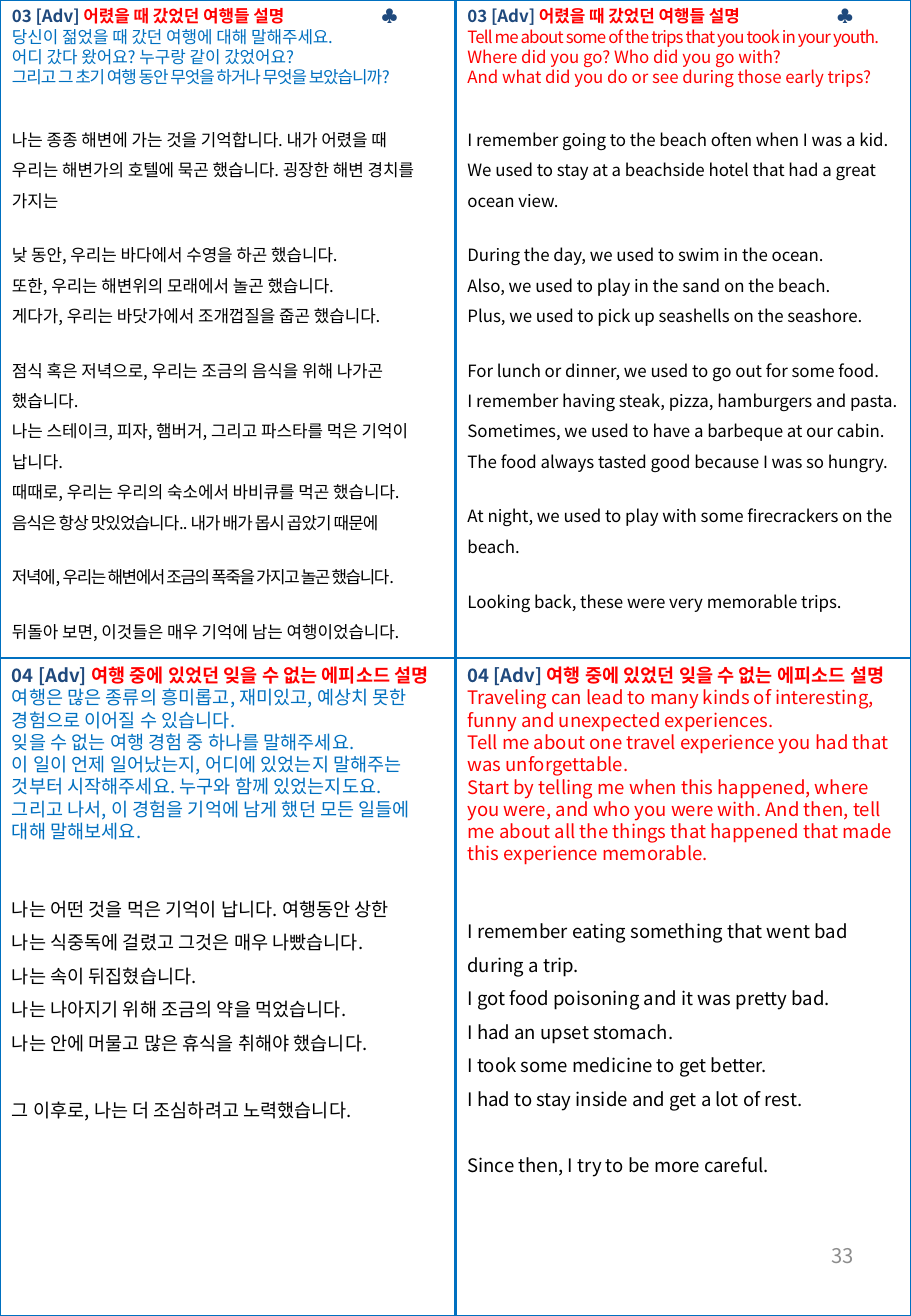
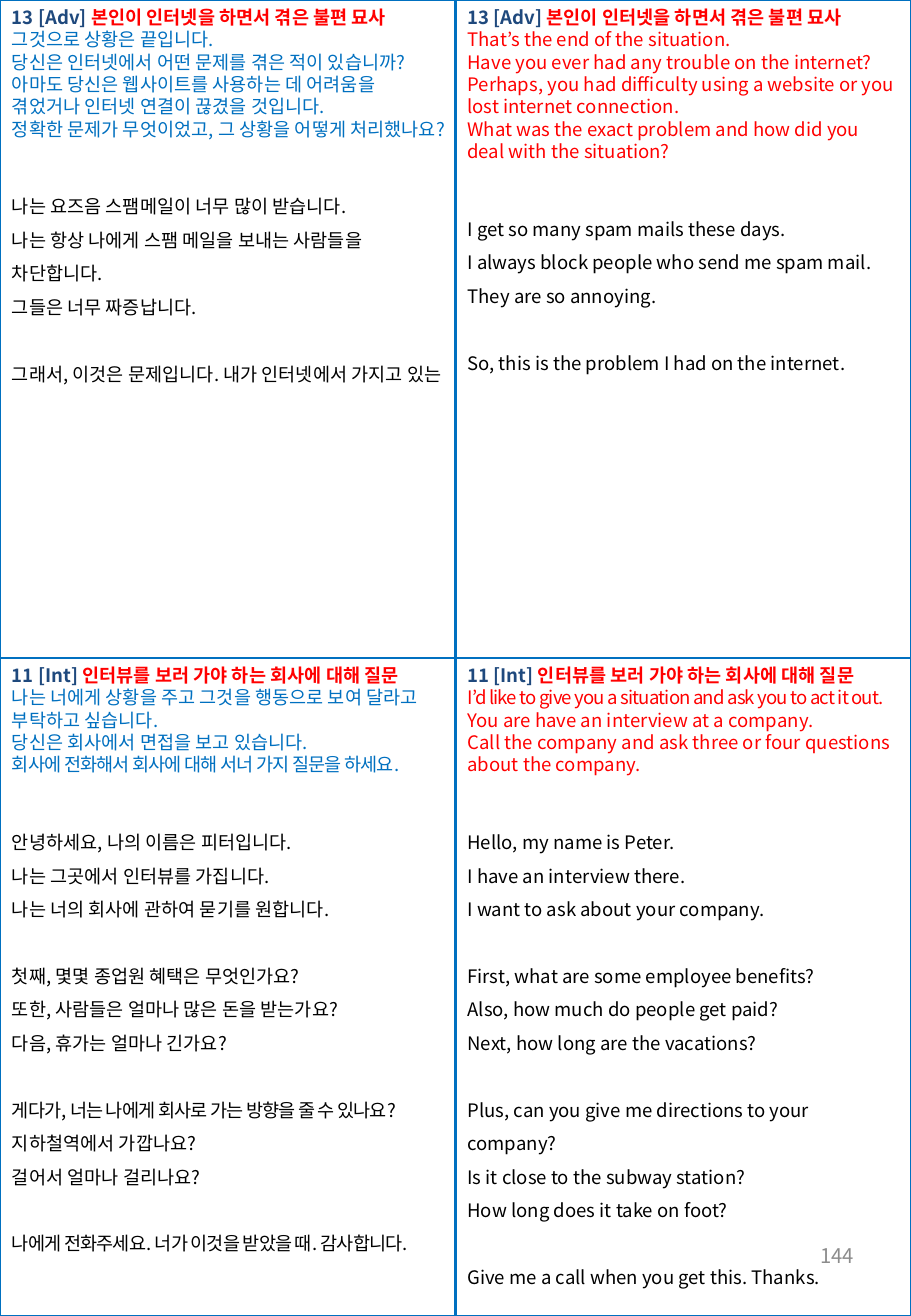
from lxml import etree
from pptx import Presentation
from pptx.dml.color import RGBColor
from pptx.enum.shapes import MSO_CONNECTOR, MSO_SHAPE
from pptx.enum.text import MSO_ANCHOR, MSO_AUTO_SIZE, PP_ALIGN
from pptx.oxml.ns import qn
from pptx.util import Inches, Pt

STRAIGHT, RECT = MSO_CONNECTOR.STRAIGHT, MSO_SHAPE.RECTANGLE
TOP, MIDDLE = MSO_ANCHOR.TOP, MSO_ANCHOR.MIDDLE
FIT, LEFT, RIGHT = MSO_AUTO_SIZE.SHAPE_TO_FIT_TEXT, PP_ALIGN.LEFT, PP_ALIGN.RIGHT

BLUE = RGBColor(0x00, 0x70, 0xC0)
NAVY = RGBColor(0x1F, 0x49, 0x7D)
RED = RGBColor(0xFF, 0x00, 0x00)
BLACK = RGBColor(0x00, 0x00, 0x00)
GRAY = RGBColor(0x8C, 0x8C, 0x8C)

FONT = "Noto Sans CJK KR"
WIDTH, HEIGHT = Inches(7.5), Inches(10.83)
COL_W, ROW_H = WIDTH // 2, HEIGHT // 2
PROMPT_COLORS = (BLUE, RED)
LINE_RATIO, BODY_RATIO = 1.2, 1.8
MARK_TAB = Inches(3.04)

TRIPS = {
    "tag": "03 [Adv] ", "title": "어렸을 때 갔었던 여행들 설명", "mark": "♣",
    "size": 10, "gap": 8,
    "columns": [
        (5.35,
         ["당신이 젊었을 때 갔던 여행에 대해 말해주세요.",
          "어디 갔다 왔어요? 누구랑 같이 갔었어요?",
          ("그리고 그 초기 여행 동안 무엇을 하거나 무엇을 보았습니까?", -0.6)],
         [["나는 종종 해변에 가는 것을 기억합니다. 내가 어렸을 때",
           "우리는 해변가의 호텔에 묵곤 했습니다. 굉장한 해변 경치를 가지는"],
          ["낮 동안, 우리는 바다에서 수영을 하곤 했습니다.",
           "또한, 우리는 해변위의 모래에서 놀곤 했습니다.",
           "게다가, 우리는 바닷가에서 조개껍질을 줍곤 했습니다."],
          ["점식 혹은 저녁으로, 우리는 조금의 음식을 위해 나가곤 했습니다.",
           "나는 스테이크, 피자, 햄버거, 그리고 파스타를 먹은 기억이 납니다.",
           "때때로, 우리는 우리의 숙소에서 바비큐를 먹곤 했습니다.",
           ("음식은 항상 맛있었습니다.. 내가 배가 몹시 곱았기 때문에", -0.5)],
          [("저녁에, 우리는 해변에서 조금의 폭죽을 가지고 놀곤 했습니다.", -0.8)],
          ["뒤돌아 보면, 이것들은 매우 기억에 남는 여행이었습니다."]]),
        (5.15,
         [("Tell me about some of the trips that you took in your youth.", -0.5),
          "Where did you go? Who did you go with?",
          "And what did you do or see during those early trips?"],
         [["I remember going to the beach often when I was a kid.",
           "We used to stay at a beachside hotel that had a great ocean view."],
          ["During the day, we used to swim in the ocean.",
           "Also, we used to play in the sand on the beach.",
           "Plus, we used to pick up seashells on the seashore."],
          ["For lunch or dinner, we used to go out for some food.",
           "I remember having steak, pizza, hamburgers and pasta.",
           "Sometimes, we used to have a barbeque at our cabin.",
           "The food always tasted good because I was so hungry."],
          ["At night, we used to play with some firecrackers on the beach."],
          ["Looking back, these were very memorable trips."]]),
    ],
}

EPISODE = {
    "tag": "04 [Adv] ", "title": "여행 중에 있었던 잊을 수 없는 에피소드 설명", "mark": "",
    "size": 11, "gap": 11,
    "columns": [
        (4.03,
         ["여행은 많은 종류의 흥미롭고, 재미있고, 예상치 못한 경험으로 이어질 수 있습니다.",
          "잊을 수 없는 여행 경험 중 하나를 말해주세요.",
          "이 일이 언제 일어났는지, 어디에 있었는지 말해주는 것부터 시작해주세요. "
          "누구와 함께 있었는지도요.",
          "그리고 나서, 이 경험을 기억에 남게 했던 모든 일들에 대해 말해보세요."],
         [["나는 어떤 것을 먹은 기억이 납니다. 여행동안 상한",
           "나는 식중독에 걸렸고 그것은 매우 나빴습니다.",
           "나는 속이 뒤집혔습니다.",
           "나는 나아지기 위해 조금의 약을 먹었습니다.",
           "나는 안에 머물고 많은 휴식을 취해야 했습니다."],
          ["그 이후로, 나는 더 조심하려고 노력했습니다."]]),
        (4.68,
         ["Traveling can lead to many kinds of interesting, funny and unexpected experiences.",
          "Tell me about one travel experience you had that was unforgettable.",
          "Start by telling me when this happened, where you were, and who you were with. "
          "And then, tell me about all the things that happened that made this experience "
          "memorable."],
         [["I remember eating something that went bad during a trip.",
           "I got food poisoning and it was pretty bad.",
           "I had an upset stomach.",
           "I took some medicine to get better.",
           "I had to stay inside and get a lot of rest."],
          ["Since then, I try to be more careful."]]),
    ],
}

INTERNET = {
    "tag": "13 [Adv] ", "title": "본인이 인터넷을 하면서 겪은 불편 묘사", "mark": "",
    "size": 11, "gap": 11,
    "columns": [
        (3.68,
         ["그것으로 상황은 끝입니다.",
          "당신은 인터넷에서 어떤 문제를 겪은 적이 있습니까?",
          "아마도 당신은 웹사이트를 사용하는 데 어려움을 겪었거나 인터넷 연결이 끊겼을 것입니다.",
          "정확한 문제가 무엇이었고, 그 상황을 어떻게 처리했나요?"],
         [["나는 요즈음 스팸메일이 너무 많이 받습니다.",
           "나는 항상 나에게 스팸 메일을 보내는 사람들을 차단합니다.",
           "그들은 너무 짜증납니다."],
          ["그래서, 이것은 문제입니다. 내가 인터넷에서 가지고 있는"]]),
        (3.12,
         ["That’s the end of the situation.",
          "Have you ever had any trouble on the internet?",
          "Perhaps, you had difficulty using a website or you lost internet connection.",
          "What was the exact problem and how did you deal with the situation?"],
         [["I get so many spam mails these days.",
           "I always block people who send me spam mail.",
           "They are so annoying."],
          ["So, this is the problem I had on the internet."]]),
    ],
}

INTERVIEW = {
    "tag": "11 [Int] ", "title": "인터뷰를 보러 가야 하는 회사에 대해 질문", "mark": "",
    "size": 11, "gap": 11,
    "columns": [
        (4.97,
         ["나는 너에게 상황을 주고 그것을 행동으로 보여 달라고 부탁하고 싶습니다.",
          "당신은 회사에서 면접을 보고 있습니다.",
          ("회사에 전화해서 회사에 대해 서너 가지 질문을 하세요.", -0.5)],
         [["안녕하세요, 나의 이름은 피터입니다.",
           "나는 그곳에서 인터뷰를 가집니다.",
           "나는 너의 회사에 관하여 묻기를 원합니다."],
          ["첫째, 몇몇 종업원 혜택은 무엇인가요?",
           "또한, 사람들은 얼마나 많은 돈을 받는가요?",
           "다음, 휴가는 얼마나 긴가요?"],
          [("게다가, 너는 나에게 회사로 가는 방향을 줄 수 있나요?", -0.5),
           "지하철역에서 가깝나요?",
           "걸어서 얼마나 걸리나요?"],
          [("나에게 전화주세요. 너가 이것을 받았을 때. 감사합니다.", -0.5)]]),
        (5.15,
         [("I’d like to give you a situation and ask you to act it out.", -0.5),
          "You are have an interview at a company.",
          "Call the company and ask three or four questions about the company."],
         [["Hello, my name is Peter.",
           "I have an interview there.",
           "I want to ask about your company."],
          ["First, what are some employee benefits?",
           "Also, how much do people get paid?",
           "Next, how long are the vacations?"],
          ["Plus, can you give me directions to your company?",
           "Is it close to the subway station?",
           "How long does it take on foot?"],
          ["Give me a call when you get this. Thanks."]]),
    ],
}

PAGES = [("33", [TRIPS, EPISODE]), ("144", [INTERNET, INTERVIEW])]


def add_run(p, text, size, color, bold=False, spacing=0):
    r = p.add_run()
    r.text = text
    r.font.name, r.font.size, r.font.bold = FONT, Pt(size), bold
    r.font.color.rgb = color
    rPr = r.font._element
    etree.SubElement(rPr, qn("a:ea"), typeface=FONT)
    if spacing:
        rPr.set("spc", str(round(spacing * 100)))


def add_paragraph(tf, line_height, before=0, align=LEFT):
    first = tf.paragraphs[0]
    p = tf.add_paragraph() if first.runs else first
    p.alignment = align
    p.line_spacing = Pt(line_height)
    p.space_before = Pt(before)
    return p


def add_line(tf, line, size, color, ratio, before=0):
    text, spacing = (line, 0) if isinstance(line, str) else line
    p = add_paragraph(tf, size * ratio, before)
    add_run(p, text, size, color, spacing=spacing)


def add_box(slide, left, top, width, height, anchor=TOP):
    tf = slide.shapes.add_textbox(left, top, width, height).text_frame
    tf.word_wrap = True
    tf.vertical_anchor = anchor
    return tf


def add_heading(tf, topic):
    size = topic["size"]
    p = add_paragraph(tf, size * LINE_RATIO)
    add_run(p, topic["tag"], size, NAVY, bold=True)
    add_run(p, topic["title"], size, RED, bold=True)
    if topic["mark"]:
        tabs = etree.SubElement(p._p.get_or_add_pPr(), qn("a:tabLst"))
        etree.SubElement(tabs, qn("a:tab"), pos=str(MARK_TAB), algn="l")
        add_run(p, "\t" + topic["mark"], size, NAVY, bold=True)


def add_panel(slide, topic, row, col):
    height, prompt, groups = topic["columns"][col]
    size, gap = topic["size"], topic["gap"]
    tf = add_box(slide, col * COL_W, row * ROW_H, COL_W, Inches(height))
    tf.auto_size = FIT
    add_heading(tf, topic)
    for line in prompt:
        add_line(tf, line, size, PROMPT_COLORS[col], LINE_RATIO)
    before = 2 * gap * LINE_RATIO
    for group in groups:
        for line in group:
            add_line(tf, line, size, BLACK, BODY_RATIO, before)
            before = 0
        before = gap * BODY_RATIO


def add_rule(slide, x1, y1, x2, y2):
    c = slide.shapes.add_connector(STRAIGHT, x1, y1, x2, y2)
    c.line.color.rgb, c.line.width = BLUE, Pt(1.5)
    etree.SubElement(c._element.spPr, qn("a:effectLst"))


def add_grid(slide):
    add_rule(slide, 0, ROW_H, WIDTH, ROW_H)
    add_rule(slide, COL_W, 0, COL_W, HEIGHT)
    frame = slide.shapes.add_shape(RECT, 0, 0, WIDTH, HEIGHT)
    frame.shadow.inherit = False
    frame.fill.background()
    frame.line.color.rgb, frame.line.width = BLUE, Pt(1.5)


def add_page_number(slide, number):
    tf = add_box(slide, Inches(5.38), Inches(10.04), Inches(1.75), Inches(0.58), MIDDLE)
    add_run(add_paragraph(tf, 12 * LINE_RATIO, align=RIGHT), number, 12, GRAY)


def main():
    prs = Presentation()
    prs.slide_width, prs.slide_height = WIDTH, HEIGHT
    for number, topics in PAGES:
        slide = prs.slides.add_slide(prs.slide_layouts[6])
        add_grid(slide)
        add_page_number(slide, number)
        for row, topic in enumerate(topics):
            for col in range(2):
                add_panel(slide, topic, row, col)
    prs.save("out.pptx")


if __name__ == "__main__":
    main()
